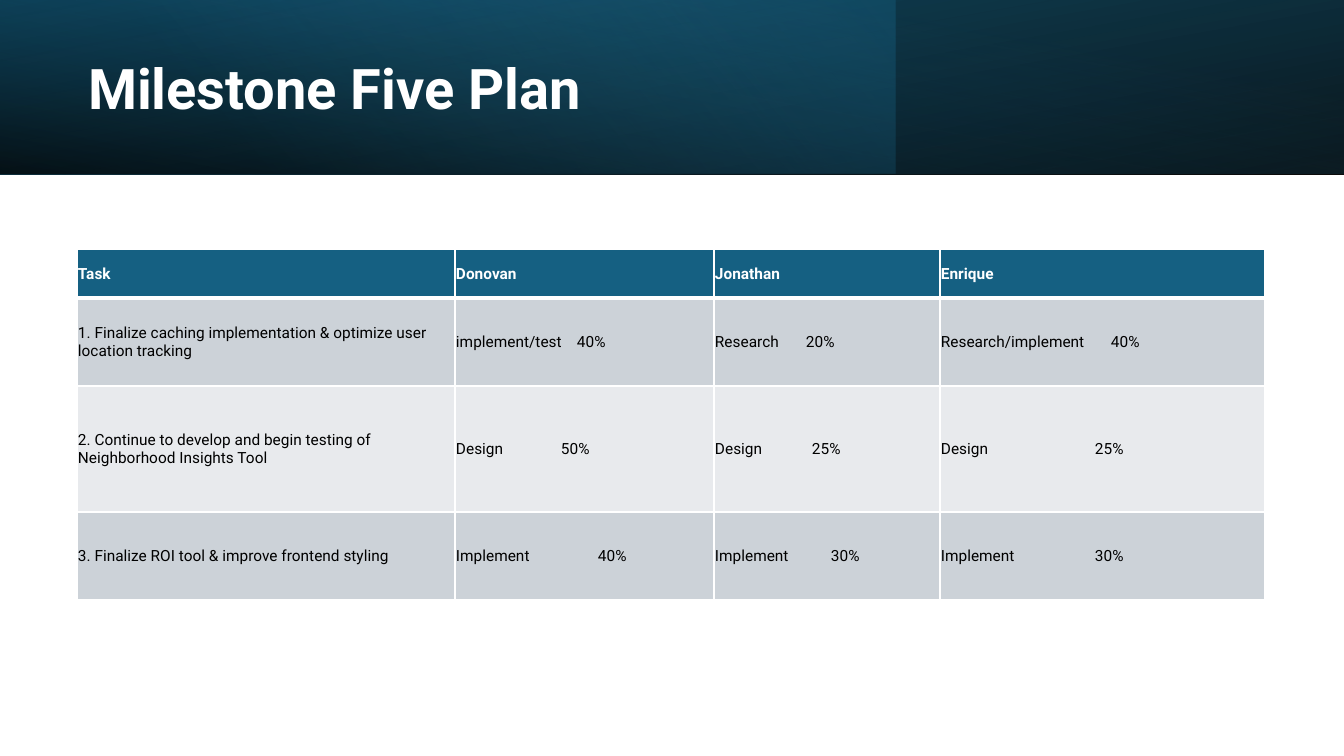
from lxml import etree
from pptx import Presentation
from pptx.dml.color import RGBColor
from pptx.enum.shapes import MSO_SHAPE
from pptx.enum.text import MSO_ANCHOR, MSO_AUTO_SIZE, PP_ALIGN
from pptx.oxml import parse_xml
from pptx.oxml.ns import qn
from pptx.util import Emu, Pt

RECT = MSO_SHAPE.RECTANGLE
MIDDLE = MSO_ANCHOR.MIDDLE
LEFT = PP_ALIGN.LEFT
NO_FIT = MSO_AUTO_SIZE.NONE

WHITE = RGBColor(0xFF, 0xFF, 0xFF)
BLACK = RGBColor(0x00, 0x00, 0x00)
TEAL = RGBColor(0x15, 0x60, 0x82)
DEEP_TEAL = RGBColor(0x10, 0x48, 0x62)
SKY = RGBColor(0x46, 0xB1, 0xE1)
GREY = RGBColor(0xCC, 0xD2, 0xD8)
PALE = RGBColor(0xE8, 0xEA, 0xED)

FONT = "Roboto"
A_NS = "http://schemas.openxmlformats.org/drawingml/2006/main"
SLIDE_W, SLIDE_H = 1344, 756
SCALE = 12192000 / SLIDE_W

COLUMNS = [378, 259, 226, 325]
ROWS = [49, 88, 126, 88]
HEADINGS = ["Task", "Donovan", "Jonathan", "Enrique"]
TASKS = [
    ("1. Finalize caching implementation & optimize user location tracking",
     ("implement/test", "40%", 121), ("Research", "20%", 91),
     ("Research/implement", "40%", 170)),
    ("2. Continue to develop and begin testing of Neighborhood Insights Tool",
     ("Design", "50%", 105), ("Design", "25%", 97), ("Design", "25%", 154)),
    ("3. Finalize ROI tool & improve frontend styling",
     ("Implement", "40%", 142), ("Implement", "30%", 116), ("Implement", "30%", 154)),
]


def px(n):
    """Turn px into EMU."""
    return Emu(round(n * SCALE))


def style_font(p, size, color, bold):
    """Set the font of a whole paragraph."""
    p.font.name = FONT
    p.font.size = Pt(size)
    p.font.bold = bold
    p.font.color.rgb = color


def add_gradient(s, x, y, w, h, stops, angle, flip=False, rotation=0):
    """Add a rectangle with a gradient of (position, colour, opacity) stops."""
    sp = s.shapes.add_shape(RECT, px(x), px(y), px(w), px(h))
    sp.shadow.inherit = False
    sp.line.fill.background()
    sp.rotation = rotation
    if flip:
        sp._element.spPr.find(qn("a:xfrm")).set("flipH", "1")
    marks = "".join(
        f'<a:gs pos="{pos * 1000}"><a:srgbClr val="{color}">'
        f'<a:alpha val="{alpha * 1000}"/></a:srgbClr></a:gs>'
        for pos, color, alpha in stops)
    fill = parse_xml(
        f'<a:gradFill xmlns:a="{A_NS}" rotWithShape="1"><a:gsLst>{marks}</a:gsLst>'
        f'<a:lin ang="{angle * 60000}" scaled="0"/></a:gradFill>')
    sp._element.spPr.find(qn("a:prstGeom")).addnext(fill)


def add_header(s, x, y, w, h):
    """Add the gradient band and the title on it."""
    add_gradient(s, x, y, w, h, [(0, BLACK, 96), (100, DEEP_TEAL, 100)], 100, True, 180)
    add_gradient(s, x, y, w * 2 // 3, h, [(0, TEAL, 41), (74, SKY, 0)], 140)
    add_gradient(s, x, y, w, h, [(0, BLACK, 63), (78, TEAL, 15)], 260, True)
    title = s.shapes.title
    s.shapes._spTree.append(title._element)
    title.left, title.top = px(x + 78), px(y + 27)
    title.width, title.height = px(778), px(128)
    tf = title.text_frame
    tf.text = "Milestone Five Plan"
    tf.vertical_anchor = MIDDLE
    tf.auto_size = NO_FIT
    p = tf.paragraphs[0]
    p.alignment = LEFT
    p.line_spacing = 0.9
    style_font(p, 40, WHITE, True)


def add_borders(cell, bottom):
    """Draw white cell borders, the lower one of the given width in points."""
    tc_pr = cell._tc.get_or_add_tcPr()
    for i, (side, width) in enumerate([("L", 1), ("R", 1), ("T", 1), ("B", bottom)]):
        ln = etree.Element(qn(f"a:ln{side}"), w=str(Pt(width)))
        fill = etree.SubElement(ln, qn("a:solidFill"))
        etree.SubElement(fill, qn("a:srgbClr"), val=str(WHITE))
        tc_pr.insert(i, ln)


def fill_cell(cell, content, fill, color, header):
    """Write a text, or a (work, share, tab px) entry, into a cell."""
    cell.margin_left = cell.margin_right = cell.margin_top = px(1)
    cell.margin_bottom = 0
    cell.vertical_anchor = MIDDLE
    cell.fill.solid()
    cell.fill.fore_color.rgb = fill
    add_borders(cell, 3 if header else 1)
    p = cell.text_frame.paragraphs[0]
    style_font(p, 11, color, header)
    if isinstance(content, str):
        p.text = content
        return
    work, share, tab = content
    p.text = f"{work}\t{share}"
    tabs = etree.Element(qn("a:tabLst"))
    etree.SubElement(tabs, qn("a:tab"), pos=str(px(tab)), algn="l")
    p._p.get_or_add_pPr().insert(0, tabs)


def add_plan(s, x, y, w, h):
    """Add the table of tasks and shares."""
    table = s.shapes.add_table(len(ROWS), len(COLUMNS), px(x), px(y), px(w), px(h)).table
    table.horz_banding = False
    for column, width in zip(table.columns, COLUMNS):
        column.width = px(width)
    for row, height in zip(table.rows, ROWS):
        row.height = px(height)
    for r, contents in enumerate([HEADINGS, *TASKS]):
        header = r == 0
        fill = TEAL if header else (GREY if r % 2 else PALE)
        for c, content in enumerate(contents):
            fill_cell(table.cell(r, c), content, fill, WHITE if header else BLACK, header)


def main():
    """Build the slide and save it."""
    prs = Presentation()
    prs.slide_width, prs.slide_height = px(SLIDE_W), px(SLIDE_H)
    s = prs.slides.add_slide(prs.slide_layouts[5])
    add_header(s, 0, 0, SLIDE_W, 174)
    add_plan(s, 77, 249, sum(COLUMNS), sum(ROWS))
    prs.save("out.pptx")


if __name__ == "__main__":
    main()
